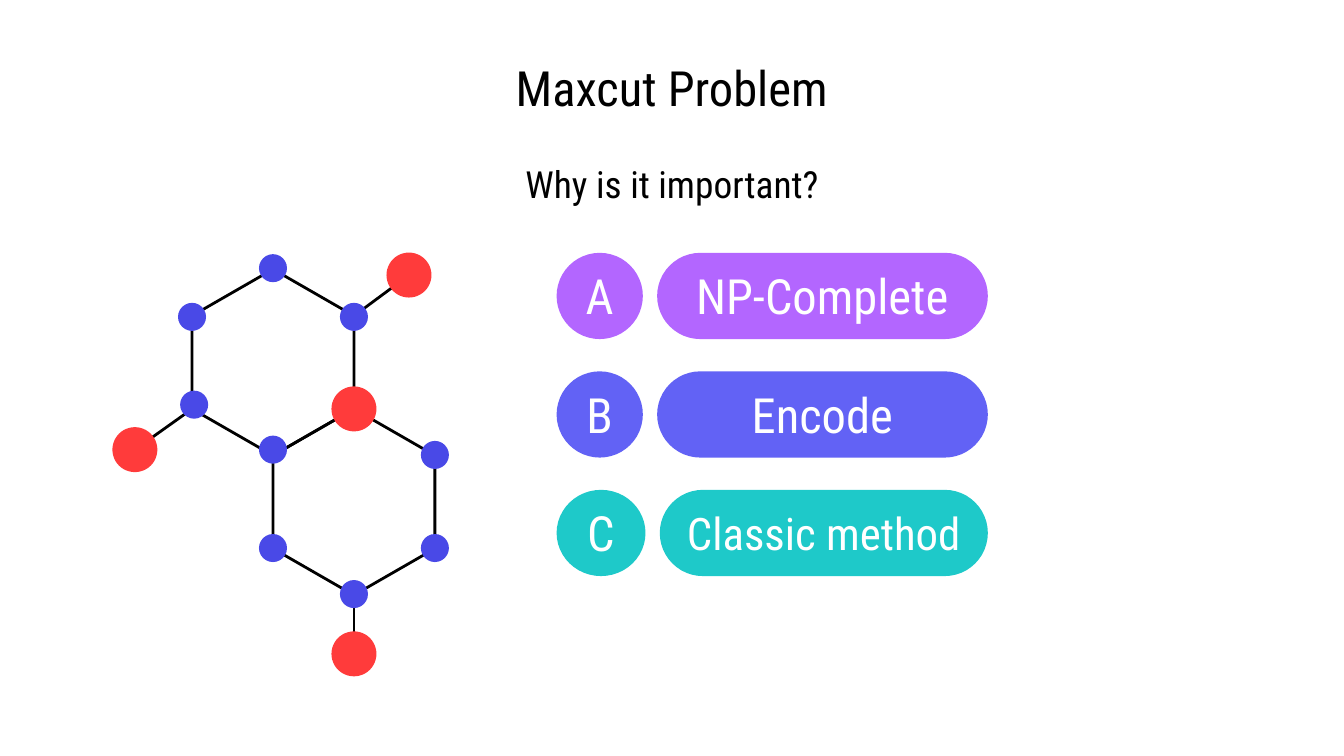
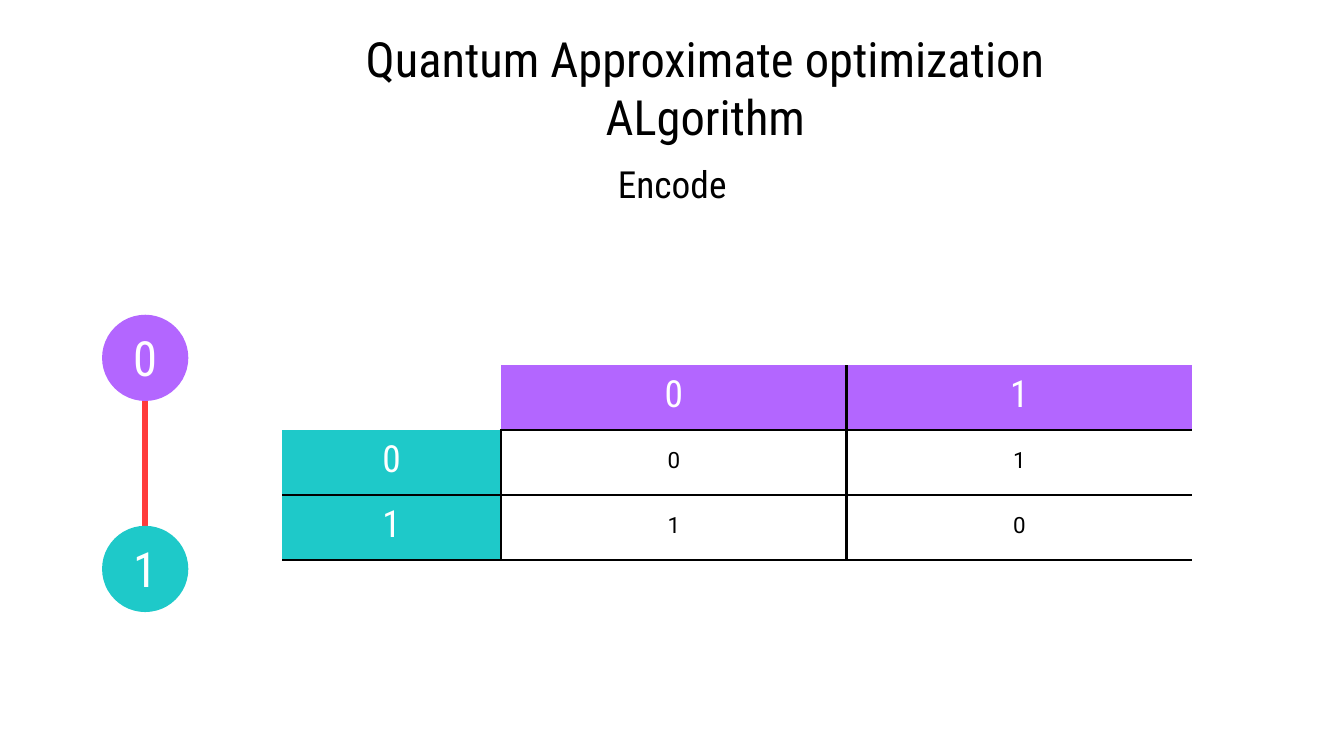
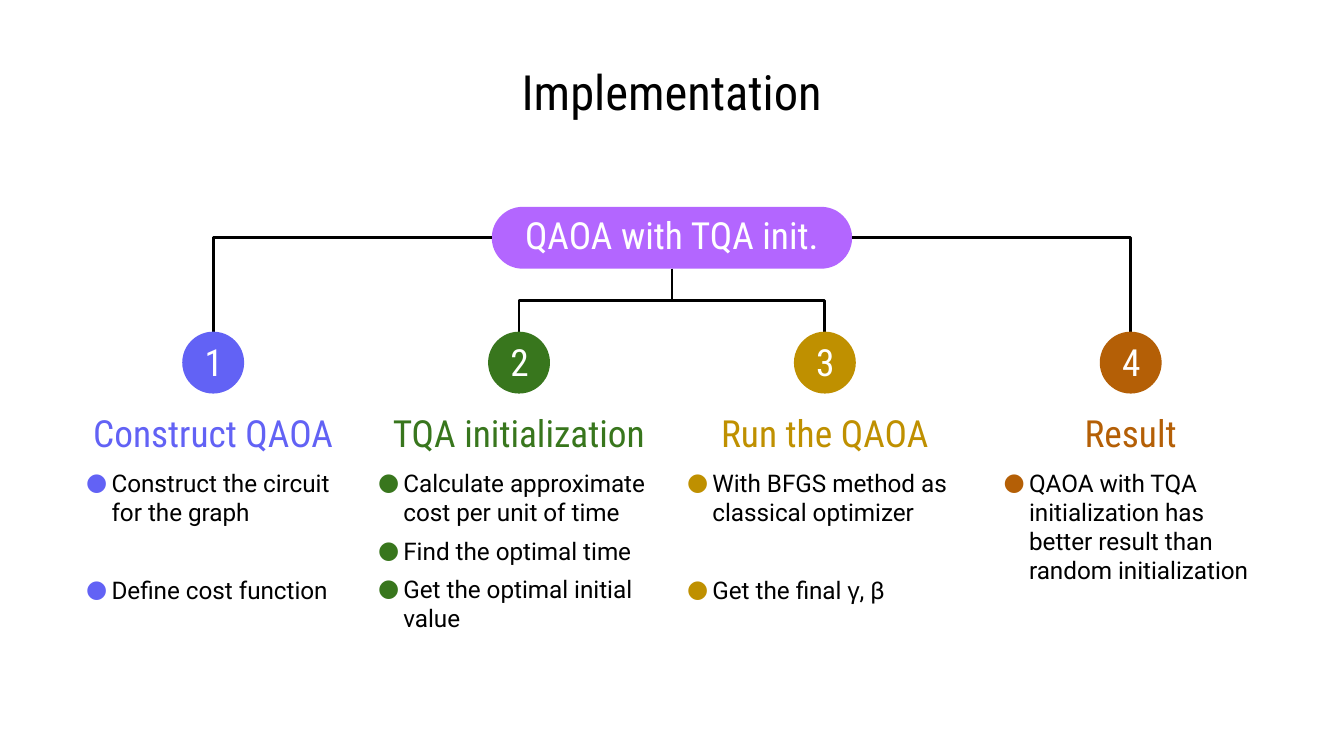
from lxml.etree import SubElement
from pptx import Presentation
from pptx.dml.color import RGBColor
from pptx.enum.shapes import MSO_CONNECTOR, MSO_SHAPE
from pptx.enum.text import MSO_ANCHOR, MSO_AUTO_SIZE, PP_ALIGN
from pptx.oxml.ns import qn
from pptx.util import Cm, Pt

# Colours and fonts
BLACK = RGBColor(0x00, 0x00, 0x00)
WHITE = RGBColor(0xFF, 0xFF, 0xFF)
PURPLE = RGBColor(0xB3, 0x66, 0xFF)
BLUE = RGBColor(0x62, 0x62, 0xF5)
TEAL = RGBColor(0x1E, 0xC9, 0xC9)
RED = RGBColor(0xFF, 0x3B, 0x3B)
NODE_BLUE = RGBColor(0x49, 0x49, 0xE7)
GREEN = RGBColor(0x38, 0x76, 0x1D)
GOLD = RGBColor(0xBF, 0x90, 0x00)
BROWN = RGBColor(0xB4, 0x5F, 0x06)
HEAD_FONT, BODY_FONT, GREEK_FONT = "Roboto Condensed", "Roboto", "Arial"

# Shared measures, in cm
SLIDE_WIDTH, SLIDE_HEIGHT = 25.4, 14.29
TITLE_TOP = 0.84
INSET = 0.25
DISC = 1.63
FRAME = {
    "word_wrap": True,
    "auto_size": MSO_AUTO_SIZE.NONE,
    "margin_left": Cm(INSET),
    "margin_right": Cm(INSET),
    "margin_top": Cm(INSET),
    "margin_bottom": Cm(INSET),
}

# Slide 1 content: graph and reasons
HEXAGON_CENTRES = [(5.16, 6.85), (6.69, 9.49)]
HEXAGON_CORNERS = [(0, -1.76), (1.53, -0.88), (1.53, 0.88),
                   (0, 1.76), (-1.53, 0.88), (-1.53, -0.88)]
BRANCHES = [((6.69, 5.97), (7.73, 5.2)), ((3.63, 7.73), (2.55, 8.5)),
            ((6.69, 11.25), (6.69, 12.27))]
NODE_GROUPS = [
    (NODE_BLUE, 0.53, [(5.16, 5.07), (6.69, 5.99), (3.63, 5.99), (3.67, 7.65), (5.16, 8.5),
                       (8.22, 8.6), (5.16, 10.36), (8.22, 10.36), (6.69, 11.23)]),
    (RED, 0.85, [(6.69, 7.73), (7.73, 5.2), (2.55, 8.5), (6.69, 12.36)]),
]
REASONS = [  # letter, reason, colour, text size, disc width
    ("A", "NP-Complete", PURPLE, 26, DISC),
    ("B", "Encode", BLUE, 26, DISC),
    ("C", "Classic method", TEAL, 24, 1.68),
]

# Slide 2 content: qubit pair and truth table
QUBITS = [("0", PURPLE, 5.95), ("1", TEAL, 9.94)]
TRUTH_TABLE = [("", "0", "1"), ("0", "0", "1"), ("1", "1", "0")]
TABLE_COLUMNS = [4.14, 6.53, 6.53]
TABLE_ROW = 1.23

# Slide 3 content: steps
STEPS = [  # heading, colour, width, bullets, space between bullets in points
    ("Construct QAOA", BLUE, 5.36,
     ["Construct the circuit for the graph", "Define cost function"], 26),
    ("TQA initialization", GREEN, 5.89,
     ["Calculate approximate cost per unit of time", "Find the optimal time",
      "Get the optimal initial value"], 5),
    ("Run the QAOA", GOLD, 5.77,
     ["With BFGS method as classical optimizer", "Get the final γ, β"], 26),
    ("Result", BROWN, 5.36,
     ["QAOA with TQA initialization has better result than random initialization"], 5),
]


# Helpers
def format_frame(frame, **changes):
    for attribute, value in {**FRAME, **changes}.items():
        setattr(frame, attribute, value)


def add_run(paragraph, text, size, color, font=HEAD_FONT):
    run = paragraph.add_run()
    run.text = text
    run.font.size, run.font.name = Pt(size), font
    run.font.color.rgb = color


def write_line(frame, text, size, color, font=HEAD_FONT, **changes):
    format_frame(frame, vertical_anchor=MSO_ANCHOR.MIDDLE, **changes)
    paragraph = frame.paragraphs[0]
    paragraph.alignment = PP_ALIGN.CENTER
    add_run(paragraph, text, size, color, font)
    return paragraph


def add_text(slide, left, top, width, height):
    return slide.shapes.add_textbox(Cm(left), Cm(top), Cm(width), Cm(height)).text_frame


def add_filled(slide, kind, left, top, width, height, color, text="", size=26, **changes):
    shape = slide.shapes.add_shape(kind, Cm(left), Cm(top), Cm(width), Cm(height))
    shape.shadow.inherit = False
    shape.fill.solid()
    shape.fill.fore_color.rgb = color
    shape.line.fill.background()
    if kind == MSO_SHAPE.ROUNDED_RECTANGLE:
        shape.adjustments[0] = 0.5
    if text:
        write_line(shape.text_frame, text, size, WHITE, **{"margin_bottom": Cm(0.28), **changes})


def add_line(slide, start, end, color=BLACK, width=1.5, kind=MSO_CONNECTOR.STRAIGHT):
    line = slide.shapes.add_connector(kind, *map(Cm, start + end))
    line.line.color.rgb = color
    line.line.width = Pt(width)
    SubElement(line._element.spPr, qn("a:effectLst"))
    return line


def add_corner(slide, start, end):
    """Elbow that runs sideways, then down."""
    corner = add_line(slide, start, end, kind=MSO_CONNECTOR.ELBOW)
    corner._element.spPr.find(qn("a:prstGeom")).set("prst", "bentConnector2")


def add_fork(slide, start, end):
    """Elbow that runs down, sideways, then down: a turned three-part elbow."""
    middle_x, middle_y = (start[0] + end[0]) / 2, (start[1] + end[1]) / 2
    half_run, half_rise = (end[1] - start[1]) / 2, abs(end[0] - start[0]) / 2
    side = 1 if end[0] < start[0] else -1
    fork = add_line(slide, (middle_x - side * half_run, middle_y - half_rise),
                    (middle_x + side * half_run, middle_y + half_rise), kind=MSO_CONNECTOR.ELBOW)
    turn = 90 if side == 1 else 270
    fork._element.spPr.find(qn("a:xfrm")).set("rot", str(turn * 60000))


def add_slide(deck, title, width, height=1.6, subtitle="", indent=0):
    slide = deck.slides.add_slide(deck.slide_layouts[5])
    heading = slide.shapes.title
    heading.left, heading.top = Cm((SLIDE_WIDTH - width) / 2), Cm(TITLE_TOP)
    heading.width, heading.height = Cm(width), Cm(height)
    paragraph = write_line(heading.text_frame, title, 26, BLACK)
    if indent:
        paragraph._p.get_or_add_pPr().set("marL", str(Cm(indent)))
    if subtitle:
        write_line(add_text(slide, 5.58, 3, 14.25, 0.94), subtitle, 20, BLACK)
    return slide


def add_bullet(paragraph, color):
    properties = paragraph._p.get_or_add_pPr()
    properties.set("marL", str(Cm(0.51)))
    properties.set("indent", str(Cm(-0.48)))
    bullet_color = SubElement(properties, qn("a:buClr"))
    SubElement(bullet_color, qn("a:srgbClr")).set("val", str(color))
    SubElement(properties, qn("a:buFont")).set("typeface", BODY_FONT)
    SubElement(properties, qn("a:buChar")).set("char", "●")


def set_border(cell, side, shown):
    border = SubElement(cell._tc.get_or_add_tcPr(), qn(f"a:ln{side}"))
    if shown:
        border.set("w", str(Pt(1.5)))
        fill = SubElement(border, qn("a:solidFill"))
        SubElement(fill, qn("a:srgbClr")).set("val", str(BLACK))
    else:
        SubElement(border, qn("a:noFill"))


# Slides
def build_maxcut(deck):
    slide = add_slide(deck, "Maxcut Problem", 16.92, subtitle="Why is it important?")

    # Graph
    for x, y in HEXAGON_CENTRES:
        corners = [(Cm(x + dx), Cm(y + dy)) for dx, dy in HEXAGON_CORNERS]
        builder = slide.shapes.build_freeform(*corners[0])
        builder.add_line_segments(corners[1:], close=True)
        hexagon = builder.convert_to_shape()
        hexagon.shadow.inherit = False
        hexagon.fill.background()
        hexagon.line.color.rgb = BLACK
        hexagon.line.width = Pt(1.5)
    for start, end in BRANCHES:
        add_line(slide, start, end)
    for color, size, centres in NODE_GROUPS:
        for x, y in centres:
            add_filled(slide, MSO_SHAPE.OVAL, x - size / 2, y - size / 2, size, size, color)

    # Reasons
    left, right, gap = 10.52, 18.67, 0.27
    for row, (letter, reason, color, size, disc_width) in enumerate(REASONS):
        top = 4.78 + 2.24 * row
        pill_left = left + disc_width + gap
        add_filled(slide, MSO_SHAPE.ROUNDED_RECTANGLE, pill_left, top, right - pill_left, DISC,
                   color, reason, size)
        add_filled(slide, MSO_SHAPE.OVAL, left, top, disc_width, DISC, color, letter)


def build_encoding(deck):
    slide = add_slide(deck, "Quantum Approximate optimization ALgorithm", 18.26,
                      subtitle="Encode", indent=1.27)

    # Qubit pair
    left = 1.93
    centre = left + DISC / 2
    add_line(slide, (centre, QUBITS[0][2] + DISC), (centre, QUBITS[1][2]), RED, 3)
    for value, color, top in QUBITS:
        add_filled(slide, MSO_SHAPE.OVAL, left, top, DISC, DISC, color, value)

    # Truth table
    rows, columns = len(TRUTH_TABLE), len(TABLE_COLUMNS)
    table = slide.shapes.add_table(rows, columns, Cm(5.33), Cm(6.9), Cm(sum(TABLE_COLUMNS)),
                                   Cm(TABLE_ROW * rows)).table
    table.first_row = table.horz_banding = False
    for column, width in zip(table.columns, TABLE_COLUMNS):
        column.width = Cm(width)

    def ruled_across(edge, c):
        return edge > 1 or (edge == 1 and c > 0)

    def ruled_down(edge, r):
        return edge == 2 or (edge == 1 and r > 0)

    for r, values in enumerate(TRUTH_TABLE):
        table.rows[r].height = Cm(TABLE_ROW)
        for c, value in enumerate(values):
            cell = table.cell(r, c)
            is_header = r == 0 or c == 0
            cell.margin_left = cell.margin_right = cell.margin_bottom = Cm(INSET)
            cell.margin_top = Cm(0.13 if is_header else 0.18)
            cell.vertical_anchor = MSO_ANCHOR.MIDDLE
            for side, shown in (("L", ruled_down(c, r)), ("R", ruled_down(c + 1, r)),
                                ("T", ruled_across(r, c)), ("B", ruled_across(r + 1, c))):
                set_border(cell, side, shown)
            if not value:
                cell.fill.background()
                continue
            paragraph = cell.text_frame.paragraphs[0]
            paragraph.alignment = PP_ALIGN.CENTER
            if is_header:
                cell.fill.solid()
                cell.fill.fore_color.rgb = PURPLE if r == 0 else TEAL
                add_run(paragraph, value, 20, WHITE)
            else:
                cell.fill.background()
                add_run(paragraph, value, 12, BLACK, BODY_FONT)


def build_implementation(deck):
    slide = add_slide(deck, "Implementation", 14.25, 1.78)
    centres = [4.03 + 5.78 * i for i in range(len(STEPS))]
    badge, badge_top = 1.17, 6.27

    # Root and branches
    root_width, root_top = 6.81, 3.91
    middle = SLIDE_WIDTH / 2
    root_left, root_right = middle - root_width / 2, middle + root_width / 2
    add_filled(slide, MSO_SHAPE.ROUNDED_RECTANGLE, root_left, root_top, root_width, badge,
               PURPLE, "QAOA with TQA init.", 20, margin_top=Cm(0.13), margin_bottom=Cm(INSET))
    for side, centre in ((root_left, centres[0]), (root_right, centres[-1])):
        add_corner(slide, (side, root_top + badge / 2), (centre, badge_top))
    for centre in centres[1:-1]:
        add_fork(slide, (middle, root_top + badge), (centre, badge_top))

    # Steps
    for number, (centre, step) in enumerate(zip(centres, STEPS), 1):
        heading, color, width, bullets, gap = step
        left = centre - width / 2
        add_filled(slide, MSO_SHAPE.ROUNDED_RECTANGLE, centre - badge / 2, badge_top, badge, badge,
                   color, str(number), 20)
        write_line(add_text(slide, left, 7.7, width, 0.94), heading, 20, color)
        body = add_text(slide, left, 8.6, width, 3.76)
        format_frame(body)
        for i, bullet in enumerate(bullets):
            paragraph = body.add_paragraph() if i else body.paragraphs[0]
            paragraph.space_before = Pt(gap if i else 0)
            add_bullet(paragraph, color)
            for part in filter(None, bullet.partition("γ")):
                add_run(paragraph, part, 13, BLACK, GREEK_FONT if part == "γ" else BODY_FONT)


def main():
    deck = Presentation()
    deck.slide_width, deck.slide_height = Cm(SLIDE_WIDTH), Cm(SLIDE_HEIGHT)
    build_maxcut(deck)
    build_encoding(deck)
    build_implementation(deck)
    deck.save("out.pptx")


if __name__ == "__main__":
    main()
